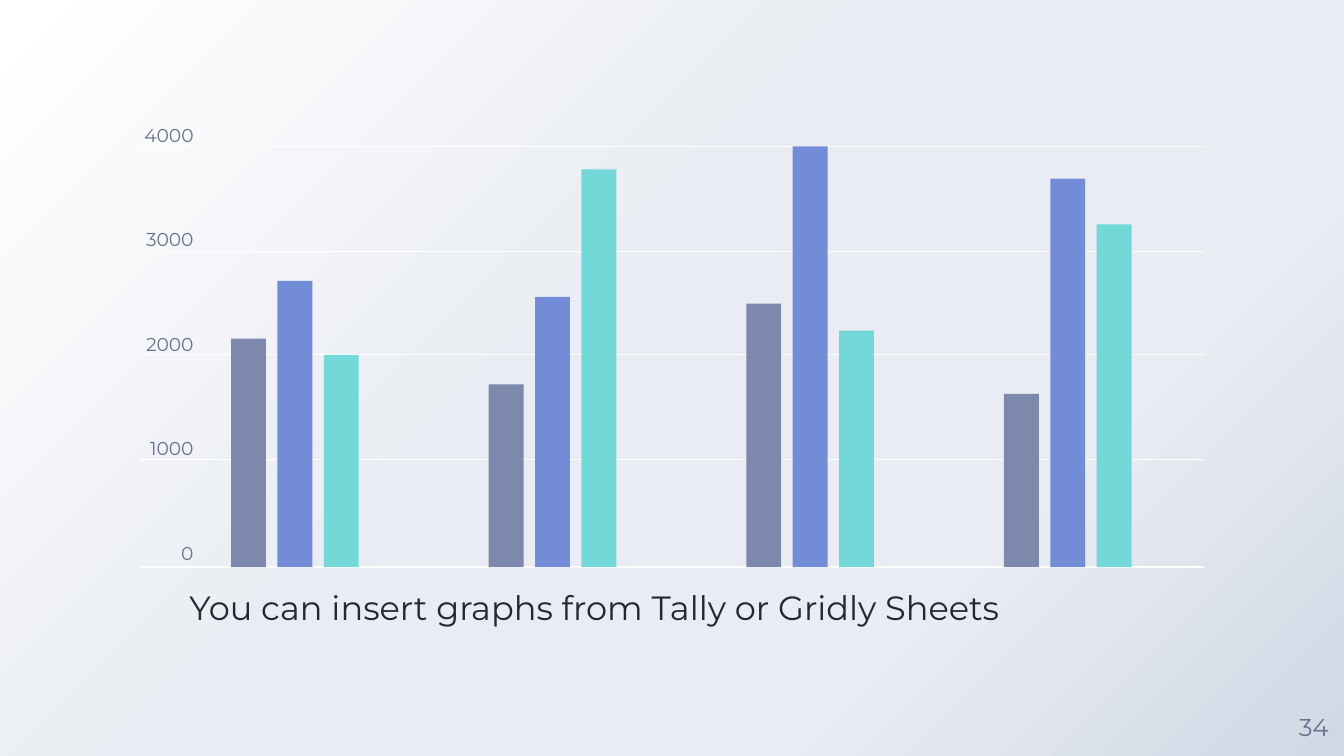
from lxml.etree import SubElement
from pptx import Presentation
from pptx.dml.color import RGBColor
from pptx.enum.shapes import MSO_CONNECTOR as Connector, MSO_SHAPE as Shape
from pptx.enum.text import MSO_ANCHOR as Anchor, PP_ALIGN as Align
from pptx.oxml.ns import qn
from pptx.util import Inches, Pt

WHITE = RGBColor(0xFF, 0xFF, 0xFF)
PALE = RGBColor(0xE9, 0xED, 0xF3)
MIST = RGBColor(0xD0, 0xD8, 0xE5)
INK = RGBColor(0x25, 0x28, 0x31)
MUTED = RGBColor(0x68, 0x72, 0x8D)
SLATE = RGBColor(0x7D, 0x89, 0xAC)
BLUE = RGBColor(0x72, 0x8C, 0xD8)
TEAL = RGBColor(0x72, 0xD8, 0xD8)

FONT = "Montserrat"
BACKDROP_STOPS = ((0, WHITE), (44, PALE), (72, PALE), (100, MIST))

# Graph geometry, in inches
BASELINE = 4.22
GRID_LEFT, GRID_RIGHT = 1.04, 8.96
GRID_LEVELS = (1.09, 1.87, 2.64, 3.42, BASELINE)
BAR_LEFT, BAR_WIDTH = 1.72, 0.26
BAR_PITCH = 0.69 / 2
GROUP_PITCH = 5.75 / 3
SERIES_COLORS = (SLATE, BLUE, TEAL)
GROUP_HEIGHTS = (
    (1.70, 2.13, 1.58),
    (1.36, 2.01, 2.96),
    (1.96, 3.13, 1.76),
    (1.29, 2.89, 2.55),
)
AXIS_LABELS = ("4000", "3000", "2000", "1000", "0")


def paint_backdrop(slide):
    """Fill the background with a gradient spreading from the top left."""
    slide.background.fill.gradient()
    gradient = next(slide._element.iter(qn("a:gradFill")))
    for child in list(gradient):
        gradient.remove(child)
    stops = SubElement(gradient, qn("a:gsLst"))
    for percent, color in BACKDROP_STOPS:
        stop = SubElement(stops, qn("a:gs"), pos=str(percent * 1000))
        SubElement(stop, qn("a:srgbClr"), val=str(color))
    spread = SubElement(gradient, qn("a:path"), path="circle")
    SubElement(spread, qn("a:fillToRect"), r="100000", b="100000")


def set_text(holder, lines, size, color, anchor=Anchor.TOP, **paragraph_format):
    """Write lines without margins into a shape and return its paragraphs."""
    frame = holder.text_frame
    frame_format = dict(word_wrap=True, vertical_anchor=anchor, margin_left=0,
                        margin_top=0, margin_right=0, margin_bottom=0)
    for name, value in frame_format.items():
        setattr(frame, name, value)
    frame.text = "\n".join(lines)
    for paragraph in frame.paragraphs:
        for name, value in paragraph_format.items():
            setattr(paragraph, name, value)
        for run in paragraph.runs:
            run.font.name = FONT
            run.font.size = Pt(size)
            run.font.color.rgb = color
    return frame.paragraphs


def add_box(slide, *box):
    return slide.shapes.add_textbox(*map(Inches, box))


def add_caption(slide):
    """Place the caption in the body placeholder; the title is not used."""
    title, caption = slide.placeholders
    title._element.getparent().remove(title._element)
    place = dict(left=1.41, top=4.31, width=7.09, height=0.57)
    for name, value in place.items():
        setattr(caption, name, Inches(value))
    set_text(caption, ["You can insert graphs from Tally or Gridly Sheets"], 18, INK,
             alignment=Align.LEFT, line_spacing=1.2, space_before=Pt(3.6))


def add_gridline(slide, level):
    gridline = slide.shapes.add_connector(
        Connector.STRAIGHT, Inches(GRID_LEFT), Inches(level),
        Inches(GRID_RIGHT), Inches(level))
    gridline.line.color.rgb = WHITE
    gridline.line.width = Pt(0.75)
    SubElement(gridline._element.spPr, qn("a:effectLst"))


def add_bar(slide, left, height, color):
    bar = slide.shapes.add_shape(
        Shape.RECTANGLE, Inches(left), Inches(BASELINE - height),
        Inches(BAR_WIDTH), Inches(height))
    bar.shadow.inherit = False
    bar.fill.solid()
    bar.fill.fore_color.rgb = color
    bar.line.fill.background()


def add_axis_labels(slide):
    labels = set_text(add_box(slide, GRID_LEFT, 0.92, 0.4, 3.31), AXIS_LABELS,
                      10, MUTED, alignment=Align.RIGHT)
    for label in labels[1:]:
        label.space_before = Pt(44)
    labels[-1].space_after = Pt(44)


def main():
    deck = Presentation()
    deck.slide_width = Inches(10)
    deck.slide_height = deck.slide_width * 9 // 16
    slide = deck.slides.add_slide(deck.slide_layouts.get_by_name("Section Header"))
    paint_backdrop(slide)

    # Caption and page number
    add_caption(slide)
    set_text(add_box(slide, 9.55, 5.18, 0.45, 0.45), ["34"], 13, MUTED,
             anchor=Anchor.MIDDLE, alignment=Align.CENTER)

    # Grid and value axis
    for level in GRID_LEVELS:
        add_gridline(slide, level)
    add_axis_labels(slide)

    # Bars, group by group
    for group, heights in enumerate(GROUP_HEIGHTS):
        for series, (height, color) in enumerate(zip(heights, SERIES_COLORS)):
            left = BAR_LEFT + group * GROUP_PITCH + series * BAR_PITCH
            add_bar(slide, left, height, color)

    deck.save("out.pptx")


if __name__ == "__main__":
    main()
